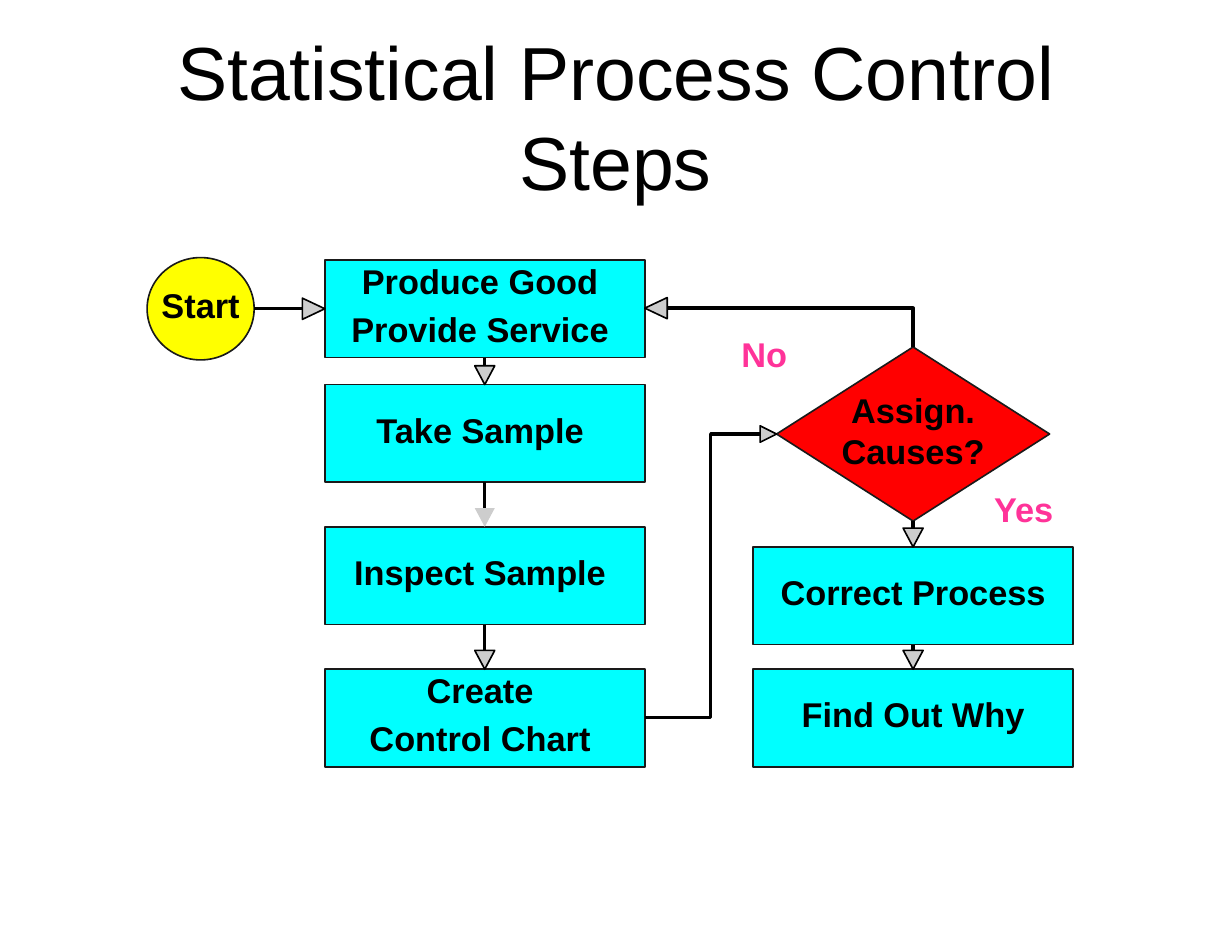
from lxml import etree
from pptx import Presentation
from pptx.dml.color import RGBColor
from pptx.enum.shapes import MSO_CONNECTOR, MSO_SHAPE
from pptx.enum.text import MSO_ANCHOR, PP_ALIGN
from pptx.oxml.ns import qn
from pptx.util import Inches, Pt

RECTANGLE, OVAL, DIAMOND = MSO_SHAPE.RECTANGLE, MSO_SHAPE.OVAL, MSO_SHAPE.DIAMOND
STRAIGHT = MSO_CONNECTOR.STRAIGHT
CENTER, MIDDLE = PP_ALIGN.CENTER, MSO_ANCHOR.MIDDLE

COLORS = {
    "text": "000000",
    "step": "00FFFF",
    "start": "FFFF00",
    "decision": "FF0000",
    "answer": "FF3399",
    "outline": "1A1A1A",
    "arrow": "000000",
    "head": "CDCDCD",
}
FONT = "Arial"
LABEL_SIZE = 21
STEP_WIDTH, STEP_HEIGHT = 2.72, 0.83


def color(name):
    return RGBColor.from_string(COLORS[name])


def write_lines(shape, lines, size=LABEL_SIZE, bold=True, color_name="text",
                wrap=False, gap=0, margins=(0, 0, 0, 0)):
    """Centre one paragraph per line; margins are left, top, right, bottom."""
    frame = shape.text_frame
    frame.word_wrap = wrap
    frame.vertical_anchor = MIDDLE
    (frame.margin_left, frame.margin_top,
     frame.margin_right, frame.margin_bottom) = map(Inches, margins)
    for index, line in enumerate(lines):
        paragraph = frame.add_paragraph() if index else frame.paragraphs[0]
        paragraph.text = line
        paragraph.alignment = CENTER
        if index and gap:
            paragraph.space_before = Pt(gap)
        paragraph.font.name = FONT
        paragraph.font.size = Pt(size)
        paragraph.font.bold = bold
        paragraph.font.color.rgb = color(color_name)


def add_node(slide, kind, box, fill, lines, gap=0, right=0.0):
    shape = slide.shapes.add_shape(kind, *map(Inches, box))
    shape.shadow.inherit = False
    shape.fill.solid()
    shape.fill.fore_color.rgb = color(fill)
    shape.line.color.rgb = color("outline")
    shape.line.width = Pt(1)
    write_lines(shape, lines, gap=gap, margins=(0, 0, right, 0.07))


def add_label(slide, box, text):
    label = slide.shapes.add_textbox(*map(Inches, box))
    write_lines(label, [text], color_name="answer")


def add_outline(slide, points, close):
    corners = [(Inches(x), Inches(y)) for x, y in points]
    builder = slide.shapes.build_freeform(*corners[0], scale=1.0)
    builder.add_line_segments(corners[1:], close=close)
    shape = builder.convert_to_shape()
    shape.shadow.inherit = False
    return shape


def add_arrow(slide, points, length=0.16, width=0.17, outlined=True):
    """Draw a line through the points with a triangle at the last one."""
    (before_x, before_y), (tip_x, tip_y) = points[-2:]
    distance = abs(tip_x - before_x) + abs(tip_y - before_y)
    step_x, step_y = (tip_x - before_x) / distance, (tip_y - before_y) / distance
    base_x, base_y = tip_x - step_x * length, tip_y - step_y * length
    route = points[:-1] + [(base_x, base_y)]

    # Shaft
    if len(route) == 2:
        ends = [Inches(value) for point in route for value in point]
        shaft = slide.shapes.add_connector(STRAIGHT, *ends)
        etree.SubElement(shaft._element.spPr, qn("a:effectLst"))
    else:
        shaft = add_outline(slide, route, close=False)
        shaft.fill.background()
    shaft.line.color.rgb = color("arrow")
    shaft.line.width = Pt(2)

    # Head
    side_x, side_y = step_y * width / 2, step_x * width / 2
    head = add_outline(slide, [(base_x + side_x, base_y + side_y), (tip_x, tip_y),
                               (base_x - side_x, base_y - side_y)], close=True)
    head.fill.solid()
    head.fill.fore_color.rgb = color("head")
    if outlined:
        head.line.color.rgb = color("arrow")
        head.line.width = Pt(1)
    else:
        head.line.fill.background()


def add_title(slide, box):
    title = slide.shapes.add_textbox(*map(Inches, box))
    write_lines(title, ["Statistical Process Control Steps"], size=46, bold=False,
                wrap=True, margins=(0.15, 0.05, 0.15, 0.05))


def add_start(slide, box):
    left, top, width, height = box
    add_node(slide, OVAL, box, "start", ["Start"])
    middle = top + height / 2
    add_arrow(slide, [(left + width, middle), (left + width + 0.6, middle)],
              length=0.19, width=0.18)


def add_steps(slide, left, steps, right=0.0, plain_arrow=None):
    """Stack the steps in a column and join each one to the next."""
    for top, lines in steps:
        add_node(slide, RECTANGLE, (left, top, STEP_WIDTH, STEP_HEIGHT),
                 "step", lines, gap=4, right=right)
    center = left + STEP_WIDTH / 2
    for index, ((top, _), (next_top, _)) in enumerate(zip(steps, steps[1:])):
        add_arrow(slide, [(center, top + STEP_HEIGHT), (center, next_top)],
                  outlined=index != plain_arrow)


def add_decision(slide, box, back_to, come_from, yes_top):
    left, top, width, height = box
    center, middle = left + width / 2, top + height / 2
    add_node(slide, DIAMOND, box, "decision", ["Assign.", "Causes?"])
    add_label(slide, (left - 0.3, top - 0.12, 0.39, 0.35), "No")
    add_label(slide, (left + 1.84, top + 1.2, 0.52, 0.35), "Yes")
    # Yes goes down, No goes back, and the chart leads in
    add_arrow(slide, [(center, top + height), (center, yes_top)])
    add_arrow(slide, [(center, top), (center, back_to[1]), back_to],
              length=0.19, width=0.18)
    bend = left - 0.56
    add_arrow(slide, [come_from, (bend, come_from[1]), (bend, middle), (left, middle)],
              length=0.14, width=0.14)


def main():
    presentation = Presentation()
    presentation.slide_width = Inches(10.47)
    presentation.slide_height = Inches(8)
    slide = presentation.slides.add_slide(presentation.slide_layouts[6])

    production = [
        (2.21, ["Produce Good", "Provide Service"]),
        (3.27, ["Take Sample"]),
        (4.48, ["Inspect Sample"]),
        (5.69, ["Create", "Control Chart"]),
    ]
    correction = [(4.65, ["Correct Process"]), (5.69, ["Find Out Why"])]
    production_left, correction_left = 2.76, 6.4
    production_right = production_left + STEP_WIDTH

    add_title(slide, (0.52, 0.32, 9.42, 1.33))
    add_steps(slide, production_left, production, right=0.08, plain_arrow=1)
    add_steps(slide, correction_left, correction)
    add_start(slide, (1.25, 2.19, 0.91, 0.87))
    add_decision(slide, (6.6, 2.95, 2.32, 1.48),
                 back_to=(production_right, 2.62),
                 come_from=(production_right, 6.1),
                 yes_top=correction[0][0])
    presentation.save("out.pptx")


if __name__ == "__main__":
    main()
